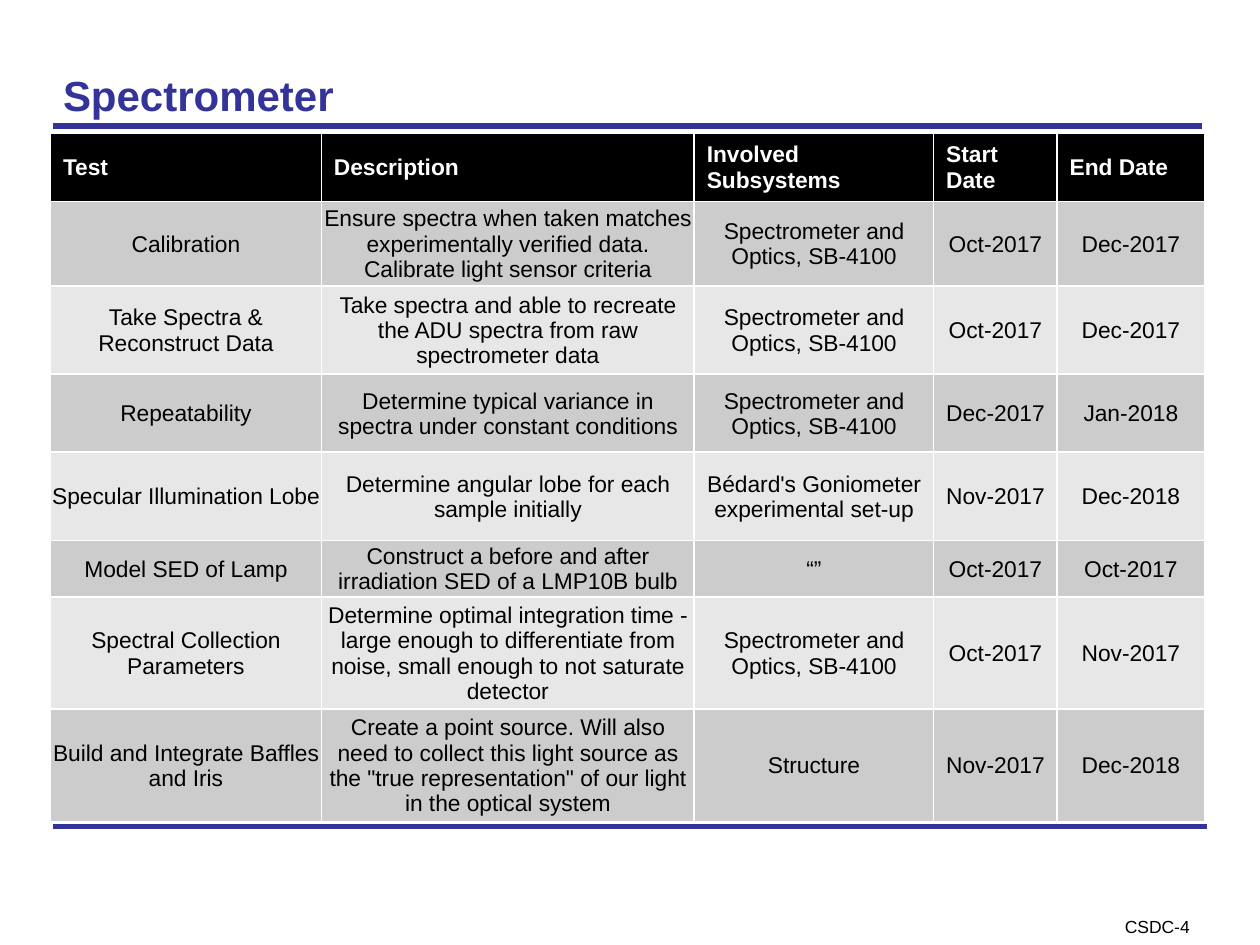
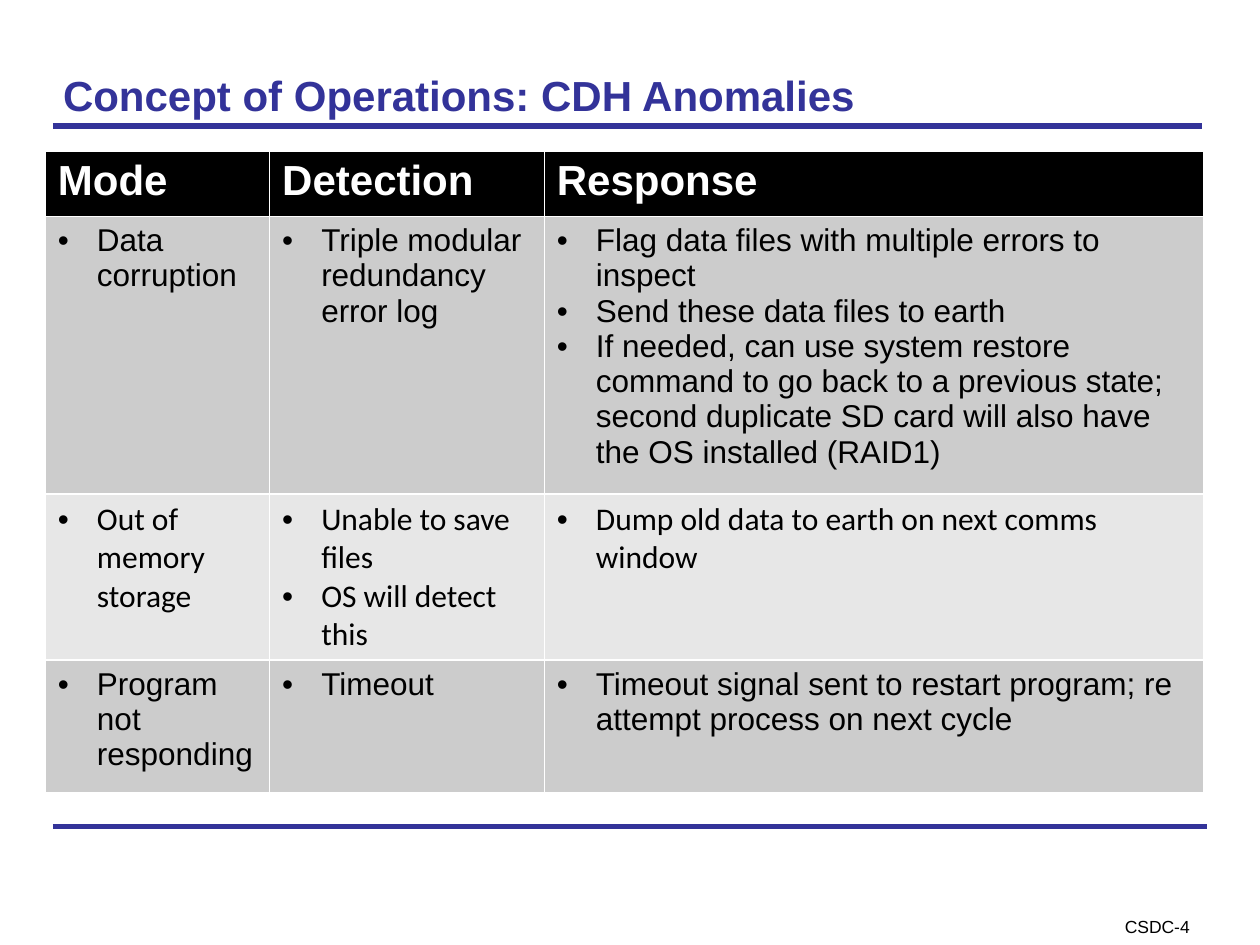
from lxml import etree
from pptx import Presentation
from pptx.dml.color import RGBColor
from pptx.enum.shapes import MSO_CONNECTOR
from pptx.enum.text import MSO_ANCHOR, MSO_AUTO_SIZE, PP_ALIGN
from pptx.oxml.ns import qn
from pptx.util import Inches, Pt

NAVY = RGBColor(0x33, 0x33, 0x99)
BLACK = RGBColor(0, 0, 0)
WHITE = RGBColor(0xFF, 0xFF, 0xFF)
BAND_DARK = RGBColor(0xCC, 0xCC, 0xCC)
BAND_LIGHT = RGBColor(0xE7, 0xE7, 0xE7)
FONT = "Arial"
ALT_FONT = "Calibri"
TITLE_ONLY = 5
BULLET_INDENT = Inches(0.31)

OPTICS = "Spectrometer and Optics, SB-4100"
TESTS = [
    ["Test", "Description", "Involved Subsystems", "Start Date", "End Date"],
    ["Calibration",
     "Ensure spectra when taken matches experimentally verified data. "
     "Calibrate light sensor criteria",
     OPTICS, "Oct-2017", "Dec-2017"],
    ["Take Spectra & Reconstruct Data",
     "Take spectra and able to recreate the ADU spectra from raw spectrometer data",
     OPTICS, "Oct-2017", "Dec-2017"],
    ["Repeatability",
     "Determine typical variance in spectra under constant conditions",
     OPTICS, "Dec-2017", "Jan-2018"],
    ["Specular Illumination Lobe",
     "Determine angular lobe for each sample initially",
     "Bédard's Goniometer experimental set-up", "Nov-2017", "Dec-2018"],
    ["Model SED of Lamp",
     "Construct a before and after irradiation SED of a LMP10B bulb",
     "“”", "Oct-2017", "Oct-2017"],
    ["Spectral Collection Parameters",
     "Determine optimal integration time - large enough to differentiate from "
     "noise, small enough to not saturate detector",
     OPTICS, "Oct-2017", "Nov-2017"],
    ["Build and Integrate Baffles and Iris",
     "Create a point source. Will also need to collect this light source as the "
     "\"true representation\" of our light in the optical system",
     "Structure", "Nov-2017", "Dec-2018"],
]
TEST_COLUMNS = [2.15, 2.96, 1.9, 0.98, 1.17]
TEST_ROWS = [0.54, 0.67, 0.7, 0.62, 0.7, 0.45, 0.89, 0.89]

ANOMALIES = [
    ["Mode", "Detection", "Response"],
    ["Data corruption",
     "Triple modular redundancy error log",
     "Flag data files with multiple errors to inspect\n"
     "Send these data files to earth\n"
     "If needed, can use system restore command to go back to a previous state; "
     "second duplicate SD card will also have the OS installed (RAID1)"],
    ["Out of memory storage",
     "Unable to save files\nOS will detect this",
     "Dump old data to earth on next comms window"],
    ["Program not responding",
     "Timeout",
     "Timeout signal sent to restart program; re attempt process on next cycle"],
]
ANOMALY_COLUMNS = [1.78, 2.18, 5.23]
ANOMALY_ROWS = [0.52, 2.05, 1.32, 1.05]
MEMORY_ROW = 2


def format_text(text_frame, size, color, bold=False, align=PP_ALIGN.LEFT, font=FONT):
    for paragraph in text_frame.paragraphs:
        paragraph.alignment = align
        for run in paragraph.runs:
            run.font.name = font
            run.font.size = Pt(size)
            run.font.bold = bold
            run.font.color.rgb = color


def set_margins(target, horizontal, top, bottom):
    """Set the insets, in inches, of a text frame or a table cell."""
    target.margin_left = target.margin_right = Inches(horizontal)
    target.margin_top, target.margin_bottom = Inches(top), Inches(bottom)


def add_bullets(text_frame):
    for paragraph in text_frame.paragraphs:
        properties = paragraph._p.get_or_add_pPr()
        properties.set("marL", str(BULLET_INDENT))
        properties.set("indent", str(-BULLET_INDENT))
        etree.SubElement(properties, qn("a:buFont")).set("typeface", FONT)
        etree.SubElement(properties, qn("a:buChar")).set("char", "•")


def add_rule(slide, right, y):
    rule = slide.shapes.add_connector(
        MSO_CONNECTOR.STRAIGHT, Inches(0.42), Inches(y), Inches(right), Inches(y))
    rule.line.color.rgb = NAVY
    rule.line.width = Pt(3)
    etree.SubElement(rule._element.spPr, qn("a:effectLst"))


def add_footer(slide):
    footer = slide.shapes.add_textbox(
        Inches(8.65), Inches(7.27), Inches(1.07), Inches(0.14))
    text_frame = footer.text_frame
    text_frame.word_wrap = True
    set_margins(text_frame, 0.08, 0, 0)
    text_frame.text = "CSDC-4"
    format_text(text_frame, 10, BLACK, align=PP_ALIGN.CENTER)


def add_framed_slide(presentation, title_text):
    """Add a slide with its title, both rules and the footer."""
    slide = presentation.slides.add_slide(presentation.slide_layouts[TITLE_ONLY])
    add_rule(slide, 9.58, 6.56)
    add_rule(slide, 9.54, 1)
    add_footer(slide)
    title = slide.shapes.title
    title.left, title.top = Inches(0.48), Inches(0.44)
    title.width, title.height = Inches(9.02), Inches(0.62)
    text_frame = title.text_frame
    text_frame.text = title_text
    text_frame.auto_size = MSO_AUTO_SIZE.NONE
    text_frame.vertical_anchor = MSO_ANCHOR.MIDDLE
    set_margins(text_frame, 0.02, 0.05, 0.05)
    format_text(text_frame, 24, NAVY, bold=True)
    return slide


def add_banded_table(slide, left, top, rows, widths, heights, header_size):
    """Add a table with a black header and grey bands; body text stays unformatted."""
    table = slide.shapes.add_table(
        len(rows), len(widths), Inches(left), Inches(top),
        Inches(sum(widths)), Inches(sum(heights))).table
    for column, width in zip(table.columns, widths):
        column.width = Inches(width)
    for row, height in zip(table.rows, heights):
        row.height = Inches(height)
    for row_index, texts in enumerate(rows):
        band = BAND_DARK if row_index % 2 else BAND_LIGHT
        for column_index, text in enumerate(texts):
            cell = table.cell(row_index, column_index)
            cell.text_frame.text = text
            cell.fill.solid()
            cell.fill.fore_color.rgb = band if row_index else BLACK
            if row_index == 0:
                format_text(cell.text_frame, header_size, WHITE, bold=True)
    return table


def body_cells(table):
    """Yield the row index and cell of everything below the header."""
    for row_index, row in enumerate(table.rows):
        if row_index:
            for cell in row.cells:
                yield row_index, cell


def add_test_slide(presentation):
    slide = add_framed_slide(presentation, "Spectrometer")
    table = add_banded_table(
        slide, 0.4, 1.06, TESTS, TEST_COLUMNS, TEST_ROWS, header_size=13)
    for cell in table.iter_cells():
        cell.vertical_anchor = MSO_ANCHOR.MIDDLE
    for _, cell in body_cells(table):
        set_margins(cell, 0.01, 0.01, 0)
        format_text(cell.text_frame, 13, BLACK, align=PP_ALIGN.CENTER)


def add_anomaly_slide(presentation):
    slide = add_framed_slide(presentation, "Concept of Operations: CDH Anomalies")
    table = add_banded_table(
        slide, 0.36, 1.2, ANOMALIES, ANOMALY_COLUMNS, ANOMALY_ROWS, header_size=24)
    for row_index, cell in body_cells(table):
        add_bullets(cell.text_frame)
        font = ALT_FONT if row_index == MEMORY_ROW else FONT
        format_text(cell.text_frame, 18, BLACK, font=font)


def main():
    presentation = Presentation()
    presentation.slide_width = Inches(10)
    presentation.slide_height = Inches(7.5)
    add_test_slide(presentation)
    add_anomaly_slide(presentation)
    presentation.save("out.pptx")


if __name__ == "__main__":
    main()
